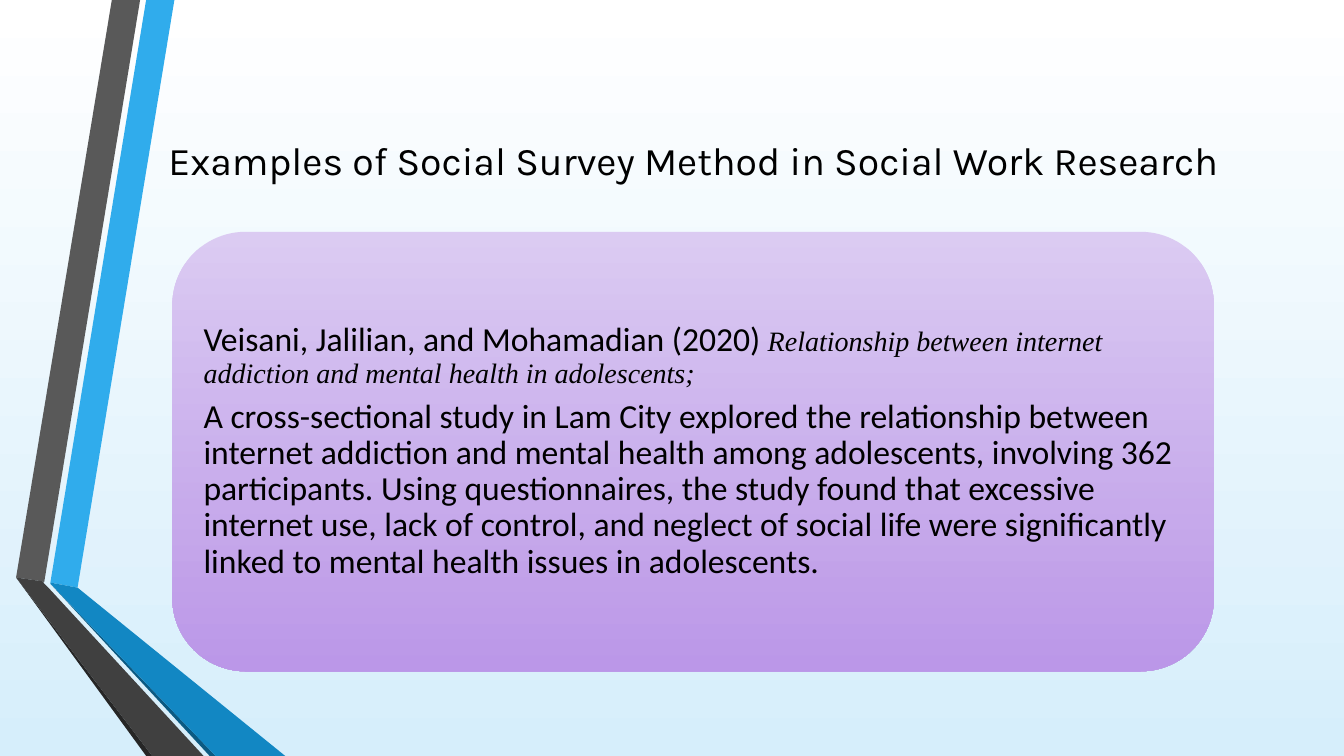
import pptx
import pptx.dml.color
import pptx.enum.shapes
import pptx.enum.text
import pptx.oxml.ns
import pptx.util
from lxml import etree

Inches = pptx.util.Inches
Pt = pptx.util.Pt

COLORS = {
    "black": "000000",
    "sky_top": "FFFFFF",
    "sky_bottom": "D6EEFB",
    "blue": "30ACEC",
    "blue_mid": "1287C3",
    "blue_dark": "0C5A82",
    "gray": "595959",
    "gray_mid": "404040",
    "gray_dark": "262626",
    "lilac_top": "D9C6F1",
    "lilac_bottom": "B88EE6",
}

RIBBONS = [
    ("blue", [(0.5, 5.78), (0.77, 5.83), (1.73, 0), (1.45, 0)]),
    ("gray", [(1.39, 0), (1.11, 0), (0.16, 5.73), (0.44, 5.77)]),
    ("gray_dark", [(0.16, 5.73), (1.45, 7.5), (1.51, 7.5)]),
    ("blue_dark", [(0.5, 5.79), (2.08, 7.5), (2.14, 7.5)]),
    ("blue_mid", [(0.5, 5.79), (2.14, 7.5), (2.83, 7.5), (0.77, 5.83), (0.5, 5.78)]),
    ("gray_mid", [(2.02, 7.5), (0.48, 5.83), (0.43, 5.78), (0.44, 5.77),
                  (0.16, 5.73), (1.51, 7.5)]),
]

TITLE = [[("Examples of Social Survey Method in Social Work Research", "Karla", 28, False)]]

STUDY = [
    [
        ("Veisani, Jalilian, and Mohamadian (2020)", "Calibri", 24, False),
        (" Relationship between internet addiction and mental health in adolescents;",
         "Times New Roman", 20, True),
    ],
    [
        ("A cross-sectional study in Lam City explored the relationship between internet "
         "addiction and mental health among adolescents, involving 362 participants. Using "
         "questionnaires, the study found that excessive internet use, lack of control, and "
         "neglect of social life were significantly linked to mental health issues in "
         "adolescents.", "Calibri", 24, False),
    ],
]


class SlideBuilder:
    def __init__(self, prs, colors):
        self.s = prs.slides.add_slide(prs.slide_layouts[6])
        self.colors = colors

    def rgb(self, name):
        return pptx.dml.color.RGBColor.from_string(self.colors[name])

    def gradient(self, fill, top, bottom):
        fill.gradient()
        fill.gradient_angle = 270
        for stop, name, position in zip(fill.gradient_stops, (top, bottom), (0, 1)):
            stop.color.rgb = self.rgb(name)
            stop.position = position

    def background(self, top, bottom):
        self.gradient(self.s.background.fill, top, bottom)

    def polygon(self, points, color):
        points = [(Inches(x), Inches(y)) for x, y in points]
        builder = self.s.shapes.build_freeform(*points[0])
        builder.add_line_segments(points[1:], close=True)
        sp = builder.convert_to_shape()
        sp.shadow.inherit = False
        sp.fill.solid()
        sp.fill.fore_color.rgb = self.rgb(color)
        sp.line.fill.background()

    def panel(self, box, top, bottom, opacity):
        sp = self.s.shapes.add_shape(
            pptx.enum.shapes.MSO_SHAPE.ROUNDED_RECTANGLE, *map(Inches, box))
        sp.shadow.inherit = False
        sp.line.fill.background()
        self.gradient(sp.fill, top, bottom)
        for color in sp.fill._xPr.iter(pptx.oxml.ns.qn("a:srgbClr")):
            alpha = etree.SubElement(color, pptx.oxml.ns.qn("a:alpha"))
            alpha.set("val", str(opacity * 1000))

    def text(self, box, paragraphs, anchor, align, line_spacing=1.0, space_after=0):
        tf = self.s.shapes.add_textbox(*map(Inches, box)).text_frame
        tf.word_wrap = True
        tf.vertical_anchor = anchor
        tf.margin_left = tf.margin_right = Inches(0.1)
        tf.margin_top = tf.margin_bottom = Inches(0.1)
        for i, runs in enumerate(paragraphs):
            p = tf.add_paragraph() if i else tf.paragraphs[0]
            p.alignment = align
            p.line_spacing = line_spacing
            p.space_after = Pt(space_after)
            for wording, font, size, italic in runs:
                r = p.add_run()
                r.text = wording
                r.font.name = font
                r.font.size = Pt(size)
                r.font.italic = italic
                r.font.color.rgb = self.rgb("black")


def main():
    prs = pptx.Presentation()
    prs.slide_width = Inches(13.33)
    prs.slide_height = Inches(7.5)
    anchors = pptx.enum.text.MSO_ANCHOR
    aligns = pptx.enum.text.PP_ALIGN

    slide = SlideBuilder(prs, COLORS)
    slide.background("sky_top", "sky_bottom")
    for color, points in RIBBONS:
        slide.polygon(points, color)
    slide.text((1, 0.42, 11.75, 1.5), TITLE, anchors.BOTTOM, aligns.CENTER)
    slide.panel((1.71, 2.3, 10.33, 4.36), "lilac_top", "lilac_bottom", 90)
    slide.text((1.92, 2.51, 9.91, 3.94), STUDY, anchors.MIDDLE, aligns.LEFT,
               line_spacing=0.9, space_after=7)
    prs.save("out.pptx")


if __name__ == "__main__":
    main()
